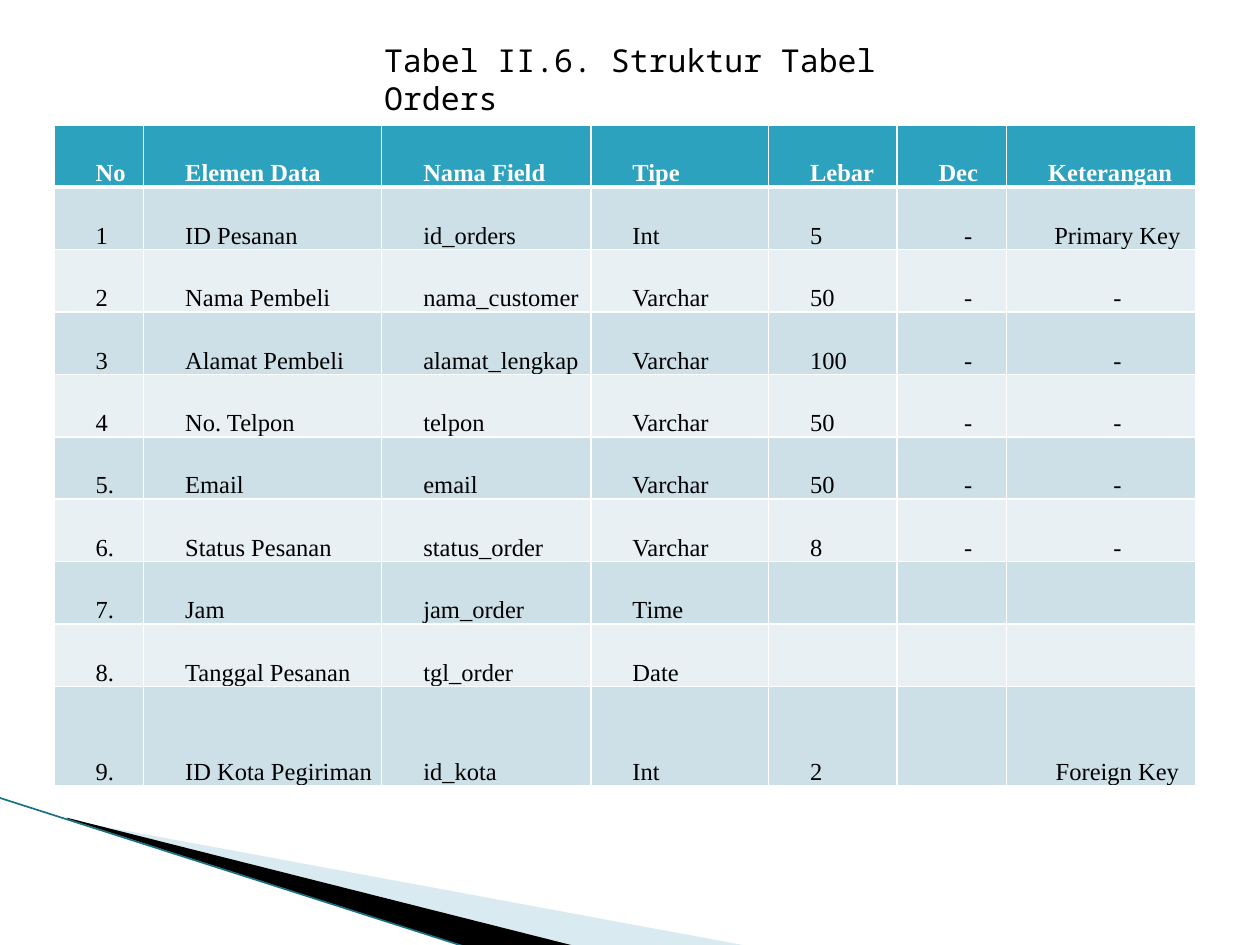
from lxml import etree
from pptx import Presentation
from pptx.dml.color import RGBColor
from pptx.enum.shapes import MSO_CONNECTOR
from pptx.enum.text import MSO_ANCHOR, MSO_AUTO_SIZE, PP_ALIGN
from pptx.oxml.ns import qn
from pptx.util import Inches, Pt

BLANK_LAYOUT = 6
STRAIGHT = MSO_CONNECTOR.STRAIGHT
BOTTOM = MSO_ANCHOR.BOTTOM
GROW = MSO_AUTO_SIZE.SHAPE_TO_FIT_TEXT
CENTER, LEFT = PP_ALIGN.CENTER, PP_ALIGN.LEFT

WIDTH, HEIGHT = 10, 7.5
TITLE_BOX = (2.95, 0.28, 4.33, 0.4)
FIELDS_BOX = (0.43, 0.99, 9.06, 5.25)
SWOOSH_BOX = (0, 6.33, 5.95, 1.19)

COLUMNS = (0.71, 1.89, 1.66, 1.41, 1.02, 0.87, 1.5)
LAST_ROW = 0.79
FIRST_CENTERED = 5
TAB_STOPS = (0.25, 0.38)
HEADER_FILL = "2DA2BF"
BAND_FILLS = ("E8F0F4", "CDE0E8")

FIELDS = (
    ("No", "Elemen Data", "Nama Field", "Tipe", "Lebar", "Dec", "Keterangan"),
    ("1", "ID Pesanan", "id_orders", "Int", "5", "-", "Primary Key"),
    ("2", "Nama Pembeli", "nama_customer", "Varchar", "50", "-", "-"),
    ("3", "Alamat Pembeli", "alamat_lengkap", "Varchar", "100", "-", "-"),
    ("4", "No. Telpon", "telpon", "Varchar", "50", "-", "-"),
    ("5.", "Email", "email", "Varchar", "50", "-", "-"),
    ("6.", "Status Pesanan", "status_order", "Varchar", "8", "-", "-"),
    ("7.", "Jam", "jam_order", "Time", "", "", ""),
    ("8.", "Tanggal Pesanan", "tgl_order", "Date", "", "", ""),
    ("9.", "ID Kota Pegiriman", "id_kota", "Int", "2", "", "Foreign Key"),
)

PALE_WEDGE = ((0.55, 0.18), (5.95, 1.18), (4.56, 1.18), (0.55, 0.17))
DARK_WEDGE = ((0.53, 0.16), (4.57, 1.18), (3.72, 1.19), (0.54, 0.17))
EDGE = ((-0.01, 0), (3.71, 1.19))


def color(hex_string):
    """Turn a hex string into a colour."""
    return RGBColor.from_string(hex_string)


def add_run(paragraph, text, font, size, hex_string, bold=False):
    """Add one formatted run to a paragraph."""
    run = paragraph.add_run()
    run.text = text
    run.font.name = font
    run.font.size = Pt(size)
    run.font.bold = bold
    run.font.color.rgb = color(hex_string)


def add_wedge(slide, points, hex_string, opacity=100):
    """Draw a filled outline without a border."""
    builder = slide.shapes.build_freeform(*points[0])
    builder.add_line_segments(points[1:], close=True)
    wedge = builder.convert_to_shape()
    wedge.shadow.inherit = False
    wedge.line.fill.background()
    wedge.fill.solid()
    wedge.fill.fore_color.rgb = color(hex_string)
    if opacity < 100:
        tint = wedge._element.spPr.find(".//" + qn("a:srgbClr"))
        etree.SubElement(tint, qn("a:alpha"), val=str(opacity * 1000))


def add_swoosh(slide, box):
    """Draw the two wedges and the edge line at the foot of the slide."""
    left, top = box[:2]

    def place(points):
        """Shift points into the box."""
        return [(Inches(left + x), Inches(top + y)) for x, y in points]

    add_wedge(slide, place(PALE_WEDGE), "A0CBDC", 40)
    add_wedge(slide, place(DARK_WEDGE), "000000")
    start, end = place(EDGE)
    edge = slide.shapes.add_connector(STRAIGHT, *start, *end)
    edge.line.color.rgb = color("1B7085")
    edge.line.width = Pt(0.95)
    etree.SubElement(edge._element.spPr, qn("a:effectLst"))


def add_borders(cell, widths):
    """Give a cell white borders of the given widths by side."""
    properties = cell._tc.get_or_add_tcPr()
    for position, (side, width) in enumerate(widths.items()):
        border = etree.Element(qn("a:ln" + side), w=str(Pt(width)))
        solid = etree.SubElement(border, qn("a:solidFill"))
        etree.SubElement(solid, qn("a:srgbClr"), val="FFFFFF")
        properties.insert(position, border)


def fill_cell(cell, text, row, column):
    """Style one table cell and write its text."""
    header = row == 0
    cell.fill.solid()
    cell.fill.fore_color.rgb = color(HEADER_FILL if header else BAND_FILLS[row % 2])
    add_borders(cell, {"L": 1, "R": 1, "T": 1, "B": 3} if header else {"L": 1, "R": 1, "B": 1})
    cell.vertical_anchor = BOTTOM
    cell.margin_left, cell.margin_right = Inches(0.08), Inches(0.07)
    cell.margin_top = cell.margin_bottom = 0
    if not text:
        return
    paragraph = cell.text_frame.paragraphs[0]
    indents = paragraph._p.get_or_add_pPr()
    indents.set("marL", str(Inches(0.25)))
    indents.set("indent", "0")
    stops = etree.SubElement(indents, qn("a:tabLst"))
    for stop in TAB_STOPS:
        etree.SubElement(stops, qn("a:tab"), pos=str(Inches(stop)), algn="l")
    paragraph.line_spacing = 1.5
    paragraph.alignment = CENTER if column >= FIRST_CENTERED and not header else LEFT
    add_run(paragraph, text, "Times New Roman", 14, "FFFFFF" if header else "000000", header)


def add_fields(slide, box):
    """Place the table of order fields in the box."""
    frame = slide.shapes.add_table(len(FIELDS), len(COLUMNS), *map(Inches, box))
    table = frame.table
    for column, width in zip(table.columns, COLUMNS):
        column.width = Inches(width)
    regular_row = (box[3] - LAST_ROW) / (len(FIELDS) - 1)
    for index, record in enumerate(FIELDS):
        is_last = index == len(FIELDS) - 1
        table.rows[index].height = Inches(LAST_ROW if is_last else regular_row)
        for column, text in enumerate(record):
            fill_cell(table.cell(index, column), text, index, column)


def add_title(slide, box):
    """Place the table caption in the box."""
    caption = slide.shapes.add_textbox(*map(Inches, box)).text_frame
    caption.word_wrap = True
    caption.auto_size = GROW
    add_run(caption.paragraphs[0], "Tabel II.6. Struktur Tabel Orders", "Noto Sans Mono", 18, "000000")


def main():
    """Build and save the slide."""
    deck = Presentation()
    deck.slide_width, deck.slide_height = Inches(WIDTH), Inches(HEIGHT)
    slide = deck.slides.add_slide(deck.slide_layouts[BLANK_LAYOUT])
    add_swoosh(slide, SWOOSH_BOX)
    add_fields(slide, FIELDS_BOX)
    add_title(slide, TITLE_BOX)
    deck.save("out.pptx")


if __name__ == "__main__":
    main()
